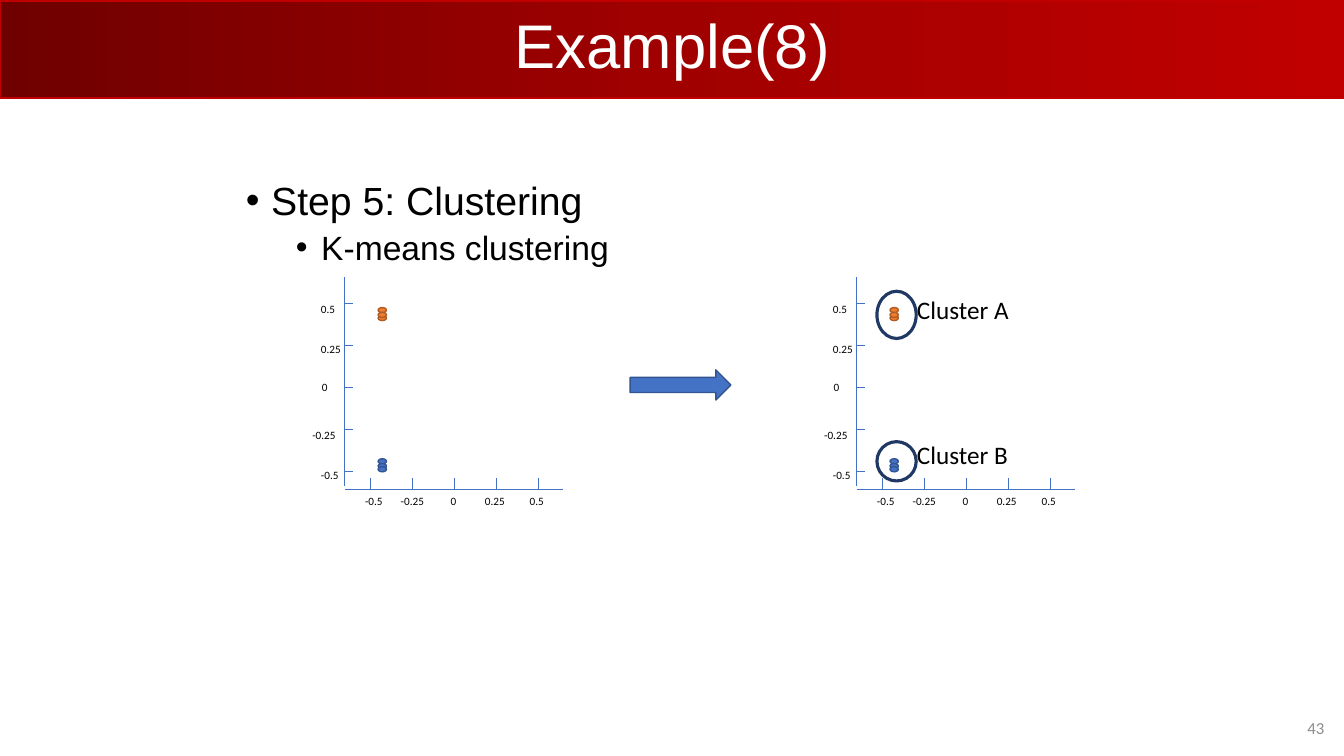
from copy import deepcopy
from dataclasses import dataclass
from lxml import etree
from pptx import Presentation
from pptx.dml.color import RGBColor
from pptx.enum.shapes import MSO_CONNECTOR, MSO_SHAPE
from pptx.enum.text import MSO_ANCHOR, MSO_AUTO_SIZE, PP_ALIGN
from pptx.oxml.ns import qn
from pptx.shapes.autoshape import Shape
from pptx.slide import Slide
from pptx.text.text import TextFrame
from pptx.util import Cm, Pt

LINE = MSO_CONNECTOR.STRAIGHT
RECT, OVAL = MSO_SHAPE.RECTANGLE, MSO_SHAPE.OVAL
DOT, ARROW = MSO_SHAPE.FLOWCHART_CONNECTOR, MSO_SHAPE.RIGHT_ARROW
LEFT, CENTER, RIGHT = PP_ALIGN.LEFT, PP_ALIGN.CENTER, PP_ALIGN.RIGHT
TOP, MIDDLE = MSO_ANCHOR.TOP, MSO_ANCHOR.MIDDLE
FIT, FIXED = MSO_AUTO_SIZE.SHAPE_TO_FIT_TEXT, MSO_AUTO_SIZE.NONE


@dataclass(frozen=True)
class Theme:
    head: str = "Arial"
    text: str = "Calibri"
    black: str = "000000"
    white: str = "FFFFFF"
    gray: str = "8C8C8C"
    banner: tuple[str, ...] = ("6F0000", "A10000", "C00000")
    blue: str = "4472C4"
    blue_edge: str = "325491"
    orange: str = "ED7D31"
    orange_edge: str = "AF5C24"
    navy: str = "203864"
    title: int = 44
    step: int = 28
    method: int = 24
    cluster: int = 18
    page: int = 12
    tick: int = 8


@dataclass(frozen=True)
class Box:
    """Left, top, width and height in centimetres."""
    x: float
    y: float
    w: float
    h: float

    def emu(self) -> tuple[Cm, Cm, Cm, Cm]:
        return Cm(self.x), Cm(self.y), Cm(self.w), Cm(self.h)


@dataclass(frozen=True)
class Label:
    text: str
    x: float
    y: float


@dataclass(frozen=True)
class Group:
    """Data points of one cluster, with its ring and its name."""
    tops: tuple[float, ...]
    fill: str
    edge: str
    ring: Box
    name: Label


@dataclass(frozen=True)
class Item:
    text: str
    level: int
    size: int
    margin: float
    before: int


THEME = Theme()
PLOTS = (8.69, 21.59)
AXIS_TOP, AXIS_END, BASE, SPAN = 6.99, 12.24, 12.32, 5.5
TICK_X, TICK_Y, STEP = 0.64, 7.65, 1.06
TICK_W, TICK_H, TICKS = 0.21, 0.28, 5
WIDTHS = {"0": 0.69, "0.25": 1.02, "0.5": 0.86, "-0.25": 1.09, "-0.5": 0.97}
# Label offsets are measured from the vertical axis.
LABELS = (
    Label("0", -0.83, 9.47), Label("0.25", -0.85, 8.51),
    Label("0.5", -0.85, 7.49), Label("-0.25", -1.07, 10.67),
    Label("-0.5", -0.85, 11.68),
    Label("0", 2.42, BASE), Label("0.25", 3.28, BASE),
    Label("0.5", 4.41, BASE), Label("-0.25", 1.16, BASE),
    Label("-0.5", 0.26, BASE),
)
GROUPS = (
    Group((7.95, 7.75, 7.87), THEME.orange, THEME.orange_edge,
          Box(22.1, 7.34, 0.99, 1.19), Label("Cluster A", 22.86, 7.29)),
    Group((11.56, 11.68, 11.76), THEME.blue, THEME.blue_edge,
          Box(22.1, 11.13, 0.99, 0.99), Label("Cluster B", 22.86, 10.95)),
)
ITEMS = (Item("Step 5: Clustering", 0, THEME.step, 0.64, 10),
         Item("K-means clustering", 1, THEME.method, 1.9, 5))


def write(frame: TextFrame, text: str, *, size: int, font: str = THEME.text,
          color: str = THEME.black, align: PP_ALIGN = LEFT,
          space: float | None = None, before: int = 0, level: int = 0,
          margin: float | None = None) -> None:
    """Fill the first free paragraph; a margin makes it a bullet."""
    para = frame.paragraphs[0]
    if para.runs:
        para = frame.add_paragraph()
    para.alignment, para.level = align, level
    para.line_spacing, para.space_before = space, Pt(before)
    run = para.add_run()
    run.text = text
    run.font.name, run.font.size = font, Pt(size)
    run.font.color.rgb = RGBColor.from_string(color)
    if margin is not None:
        props = para._p.get_or_add_pPr()
        props.set("marL", str(Cm(margin)))
        props.set("indent", str(-Cm(0.64)))
        etree.SubElement(props, qn("a:buFont")).set("typeface", THEME.head)
        etree.SubElement(props, qn("a:buChar")).set("char", "•")


def place(holder: Shape, box: Box, anchor: MSO_ANCHOR) -> TextFrame:
    holder.left, holder.top, holder.width, holder.height = box.emu()
    frame = holder.text_frame
    frame.word_wrap, frame.auto_size = True, FIXED
    frame.vertical_anchor = anchor
    return frame


def note(slide: Slide, label: Label, width: float, height: float,
         size: int) -> None:
    box = Box(label.x, label.y, width, height)
    frame = slide.shapes.add_textbox(*box.emu()).text_frame
    frame.word_wrap, frame.auto_size = False, FIT
    write(frame, label.text, size=size)


def draw(slide: Slide, kind: MSO_SHAPE, box: Box, edge: str,
         fill: str | None = None, width: float = 1) -> Shape:
    shape = slide.shapes.add_shape(kind, *box.emu())
    shape.shadow.inherit = False
    if fill:
        shape.fill.solid()
        shape.fill.fore_color.rgb = RGBColor.from_string(fill)
    else:
        shape.fill.background()
    shape.line.color.rgb = RGBColor.from_string(edge)
    shape.line.width = Pt(width)
    return shape


def rule(slide: Slide, x: float, y: float, dx: float, dy: float) -> None:
    line = slide.shapes.add_connector(LINE, Cm(x), Cm(y),
                                      Cm(x + dx), Cm(y + dy))
    line.line.color.rgb = RGBColor.from_string(THEME.blue)
    line.line.width = Pt(0.5)
    etree.SubElement(line.element.spPr, qn("a:effectLst"))


def plot(slide: Slide, left: float) -> None:
    rule(slide, left, AXIS_TOP, 0, AXIS_END - AXIS_TOP)
    rule(slide, left, BASE, SPAN, 0)
    for i in range(TICKS):
        rule(slide, left, TICK_Y + i * STEP, TICK_W, 0)
        rule(slide, left + TICK_X + i * STEP, BASE - TICK_H, 0, TICK_H)
    for item in LABELS:
        label = Label(item.text, left + item.x, item.y)
        note(slide, label, WIDTHS[item.text], 0.6, THEME.tick)
    for group in GROUPS:
        for top in group.tops:
            draw(slide, DOT, Box(left + 0.84, top, 0.21, 0.13),
                 group.edge, group.fill)


def header(slide: Slide) -> None:
    banner = draw(slide, RECT, Box(0, 0.03, 33.87, 2.44), THEME.banner[-1])
    banner.fill.gradient()
    banner.fill.gradient_angle = 0
    stops = banner.element.find(".//" + qn("a:gsLst"))
    stops.insert(1, deepcopy(stops[0]))
    for i, stop in enumerate(banner.fill.gradient_stops):
        stop.position = i / 2
        stop.color.rgb = RGBColor.from_string(THEME.banner[i])
    title = slide.shapes.title
    title.element.addprevious(banner.element)
    write(place(title, Box(2.34, 0.25, 29.21, 1.96), MIDDLE), "Example(8)",
          size=THEME.title, font=THEME.head, color=THEME.white,
          align=CENTER, space=0.9)


def main() -> None:
    deck = Presentation()
    deck.slide_width, deck.slide_height = Cm(33.87), Cm(19.05)
    slide = deck.slides.add_slide(deck.slide_layouts[1])
    header(slide)
    body = place(slide.placeholders[1], Box(5.94, 4.45, 22.66, 13.34), TOP)
    for item in ITEMS:
        write(body, item.text, size=item.size, font=THEME.head, space=0.9,
              before=item.before, level=item.level, margin=item.margin)
    for left in PLOTS:
        plot(slide, left)
    draw(slide, ARROW, Box(15.88, 9.32, 2.54, 0.76),
         THEME.blue_edge, THEME.blue)
    for group in GROUPS:
        note(slide, group.name, 2.84, 1.02, THEME.cluster)
        draw(slide, OVAL, group.ring, THEME.navy, width=2.25)
    page = slide.shapes.add_textbox(0, 0, 0, 0)
    write(place(page, Box(31.7, 17.83, 1.93, 1.02), MIDDLE), "43",
          size=THEME.page, color=THEME.gray, align=RIGHT)
    deck.save("out.pptx")


if __name__ == "__main__":
    main()
